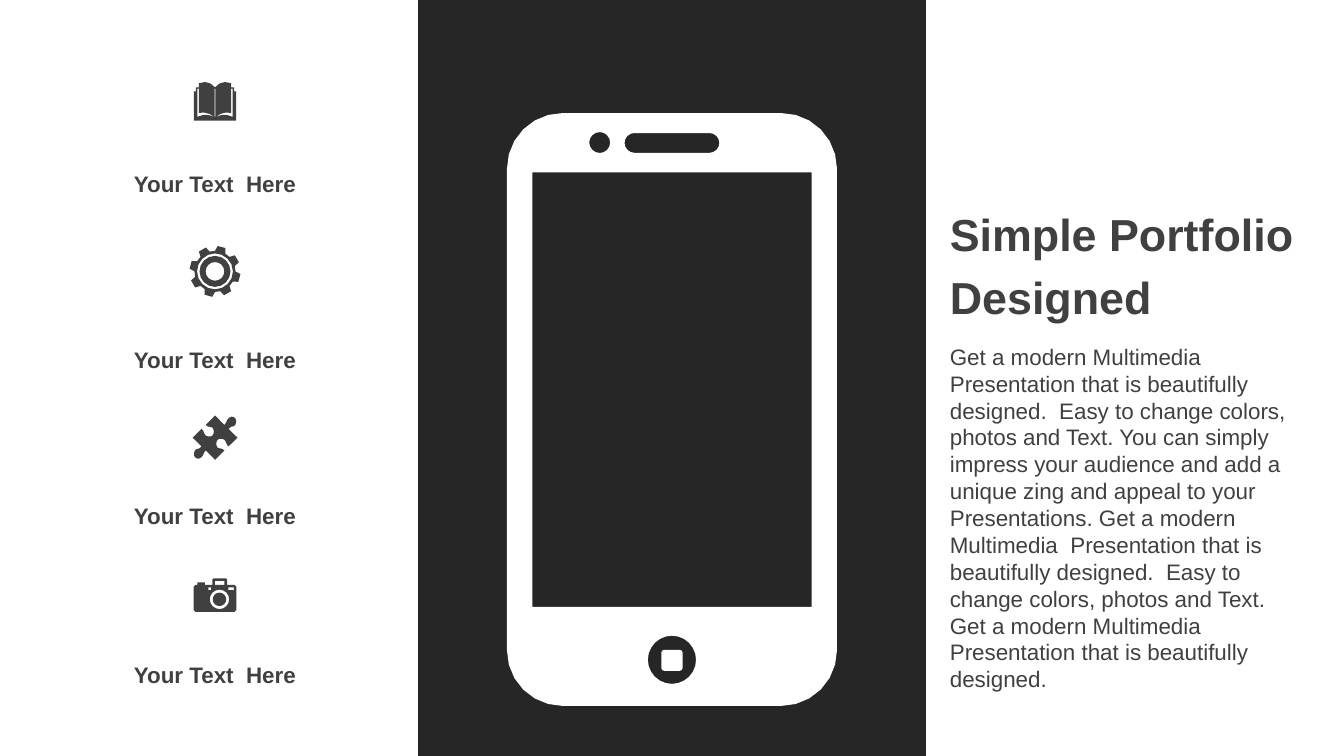
"""Build a portfolio slide with a phone on a dark panel, four icons and text."""
from dataclasses import dataclass
from math import cos, pi, radians, sin, sqrt

from pptx import Presentation
from pptx.dml.color import RGBColor
from pptx.enum.shapes import MSO_SHAPE
from pptx.enum.text import MSO_ANCHOR, MSO_AUTO_SIZE, PP_ALIGN
from pptx.util import Pt


@dataclass(frozen=True)
class Theme:
    panel: RGBColor = RGBColor(0x26, 0x26, 0x26)
    ink: RGBColor = RGBColor(0x40, 0x40, 0x40)
    white: RGBColor = RGBColor(0xFF, 0xFF, 0xFF)
    font: str = "Arial"
    title_size: int = 24
    body_size: int = 12


def rounded(left, top, width, height, radius=0):
    if not radius:
        right, bottom = left + width, top + height
        return [(left, top), (right, top), (right, bottom), (left, bottom)]
    steps = 2 if radius < 3 else 4 if radius < 11 else 6
    right, bottom = left + width - radius, top + height - radius
    centres = [(right, bottom), (left + radius, bottom),
               (left + radius, top + radius), (right, top + radius)]
    return [(x + radius * cos(pi / 2 * (corner + step / steps)),
             y + radius * sin(pi / 2 * (corner + step / steps)))
            for corner, (x, y) in enumerate(centres) for step in range(steps + 1)]


def circle(x, y, radius):
    count = 16 if radius < 11 else 24
    return [(x + radius * cos(2 * pi * step / count), y + radius * sin(2 * pi * step / count))
            for step in range(count)]


def curve(*controls):
    points = []
    for step in range(4):
        t = step / 3
        weights = ((1 - t) ** 3, 3 * t * (1 - t) ** 2, 3 * t * t * (1 - t), t ** 3)
        points.append(tuple(sum(weight * control[axis] for weight, control in zip(weights, controls))
                            for axis in (0, 1)))
    return points


def phone_rings():
    return [
        rounded(271.6, 60.6, 176.8, 317.6, 29.8),
        rounded(285.2, 92.4, 149.6, 232.8),
        rounded(334.6, 71.3, 50.8, 10.6, 5.3),
        circle(321.3, 76.4, 5.6),
        circle(360, 353.5, 12.9),
        rounded(354.3, 348.2, 11.4, 11.2, 1.5),
    ]


def book_rings(middle):
    def mirror(points):
        return [(2 * middle - x, y) for x, y in reversed(points)]

    left_edge = [(103.9, 64.6), (103.9, 49), (105, 49), (105, 46.8), (106.6, 46.8)]
    left_edge += curve((106.6, 44.6), (110, 43.2), (112.8, 44), (middle, 46.8))
    page_gap = [(105.8, 47.5), (106.6, 47.5)]
    page_gap += curve((106.6, 60.5), (109.4, 59.8), (112.3, 60.5), (middle, 62.9))
    page_gap += curve((middle, 62.9), (111.6, 61.2), (109.4, 60.8), (105.8, 62.6))[1:]
    spine = rounded(middle - 0.2, 47.5, 0.4, 15)
    return [left_edge + mirror(left_edge[:-1]), page_gap, mirror(page_gap), spine]


def gear_rings(x, y):
    teeth = []
    for tooth in range(8):
        for offset, radius in ((-15, 11), (-9, 13.7), (9, 13.7), (15, 11)):
            angle = radians(15 + 45 * tooth + offset)
            teeth.append((x + radius * sin(angle), y - radius * cos(angle)))
    return [teeth] + [circle(x, y, radius) for radius in (9.6, 8.3, 5)]


def puzzle_rings(x, y):
    half = [(0, -11.9)]
    half += curve((5, -6.8), (6.5, -8.3), (5.8, -9), (7.2, -10.4))
    half += curve((7.2, -10.4), (8.6, -11.9), (10.1, -11.2), (10.8, -10.4))[1:]
    half += curve((10.8, -10.4), (11.5, -9.7), (11.5, -8.3), (10.8, -6.8))[1:]
    half += curve((10.8, -6.8), (10.1, -5.4), (8.6, -6.8), (7.2, -4.7))[1:]
    half += [(12, 0)]
    half += curve((7.2, 4.7), (5.8, 4), (6.5, 2.5), (5, 1.1))
    half += curve((5, 1.1), (3.6, 0.4), (2.2, 0.4), (1.4, 1.1))[1:]
    half += curve((1.4, 1.1), (0.7, 1.8), (0, 4), (1.4, 5.4))[1:]
    half += curve((1.4, 5.4), (2.9, 6.1), (3.6, 5.4), (5, 6.8))[1:]
    outline = half + [(-across, -down) for across, down in half]
    return [[(x + (across + down) / sqrt(2), y + (down - across) / sqrt(2))
             for across, down in outline]]


def camera_rings():
    body = [(103.7, 314.4), (104.7, 313.4), (105.8, 313.4), (105.8, 312), (109.8, 312),
            (109.8, 313.4), (113.8, 313.4), (113.8, 310.5), (114.5, 309.8), (121, 309.8),
            (121.7, 310.5), (121.7, 313.4), (125.7, 313.4), (126.7, 314.4), (126.7, 326.7),
            (125.7, 327.8), (104.7, 327.8), (103.7, 326.7)]
    return [body, circle(117.6, 321.1, 5.2), circle(117.6, 321.1, 3.6),
            rounded(111.6, 314.7, 1.5, 1.4), rounded(122.4, 314.7, 2.9, 1.4),
            rounded(115.2, 311.2, 5, 2.2)]


class SlideBuilder:
    """Adds styled elements to one slide."""

    def __init__(self, slide, theme):
        self.slide = slide
        self.theme = theme

    def paint(self, shape, color):
        shape.shadow.inherit = False
        shape.fill.solid()
        shape.fill.fore_color.rgb = color
        shape.line.fill.background()

    def panel(self, left, top, width, height):
        shape = self.slide.shapes.add_shape(
            MSO_SHAPE.RECTANGLE, Pt(left), Pt(top), Pt(width), Pt(height))
        self.paint(shape, self.theme.panel)

    def outline(self, rings, color, rotation=0):
        rings = [[(Pt(x), Pt(y)) for x, y in ring] for ring in rings]
        builder = self.slide.shapes.build_freeform(*rings[0][0], scale=1.0)
        builder.add_line_segments(rings[0][1:], close=True)
        for ring in rings[1:]:
            builder.move_to(*ring[0])
            builder.add_line_segments(ring[1:], close=True)
        shape = builder.convert_to_shape()
        shape.rotation = rotation
        self.paint(shape, color)

    def text(self, box, content, size, bold=False, align=PP_ALIGN.LEFT, space=0, grow=True):
        frame = self.slide.shapes.add_textbox(*map(Pt, box)).text_frame
        frame.word_wrap = True
        frame.vertical_anchor = MSO_ANCHOR.MIDDLE
        frame.auto_size = MSO_AUTO_SIZE.SHAPE_TO_FIT_TEXT if grow else MSO_AUTO_SIZE.NONE
        frame.text = content
        for paragraph in frame.paragraphs:
            paragraph.alignment = align
            paragraph.space_before = Pt(space)
            for run in paragraph.runs:
                run.font.name = self.theme.font
                run.font.size = Pt(size)
                run.font.bold = bold
                run.font.color.rgb = self.theme.ink


def main():
    presentation = Presentation()
    presentation.slide_width, presentation.slide_height = Pt(720), Pt(405)
    theme = Theme()
    builder = SlideBuilder(presentation.slides.add_slide(presentation.slide_layouts[6]), theme)

    builder.panel(224, 0, 272, 405)
    builder.outline(phone_rings(), theme.white)

    icon_middle = 115.2
    builder.outline(book_rings(icon_middle), theme.ink)
    builder.outline(puzzle_rings(icon_middle, 234.5), theme.ink, rotation=45)
    builder.outline(gear_rings(icon_middle, 145.4), theme.ink)
    builder.outline(camera_rings(), theme.ink)
    for top in (87.4, 181.6, 265.4, 350.6):
        builder.text((57.6, top, 115.2, 21.8), "Your Text  Here", theme.body_size,
                     bold=True, align=PP_ALIGN.CENTER)

    builder.text((501.8, 103.7, 198.7, 76.3), "Simple Portfolio\nDesigned", theme.title_size,
                 bold=True, space=4.8, grow=False)
    offer = "Get a modern Multimedia  Presentation that is beautifully designed."
    change = "Easy to change colors, photos and Text."
    builder.text((501.8, 179, 198.7, 196.6),
                 f"{offer}  {change} You can simply impress your audience and add a unique zing "
                 f"and appeal to your Presentations. {offer}  {change} {offer}", theme.body_size)

    presentation.save("out.pptx")


if __name__ == "__main__":
    main()
